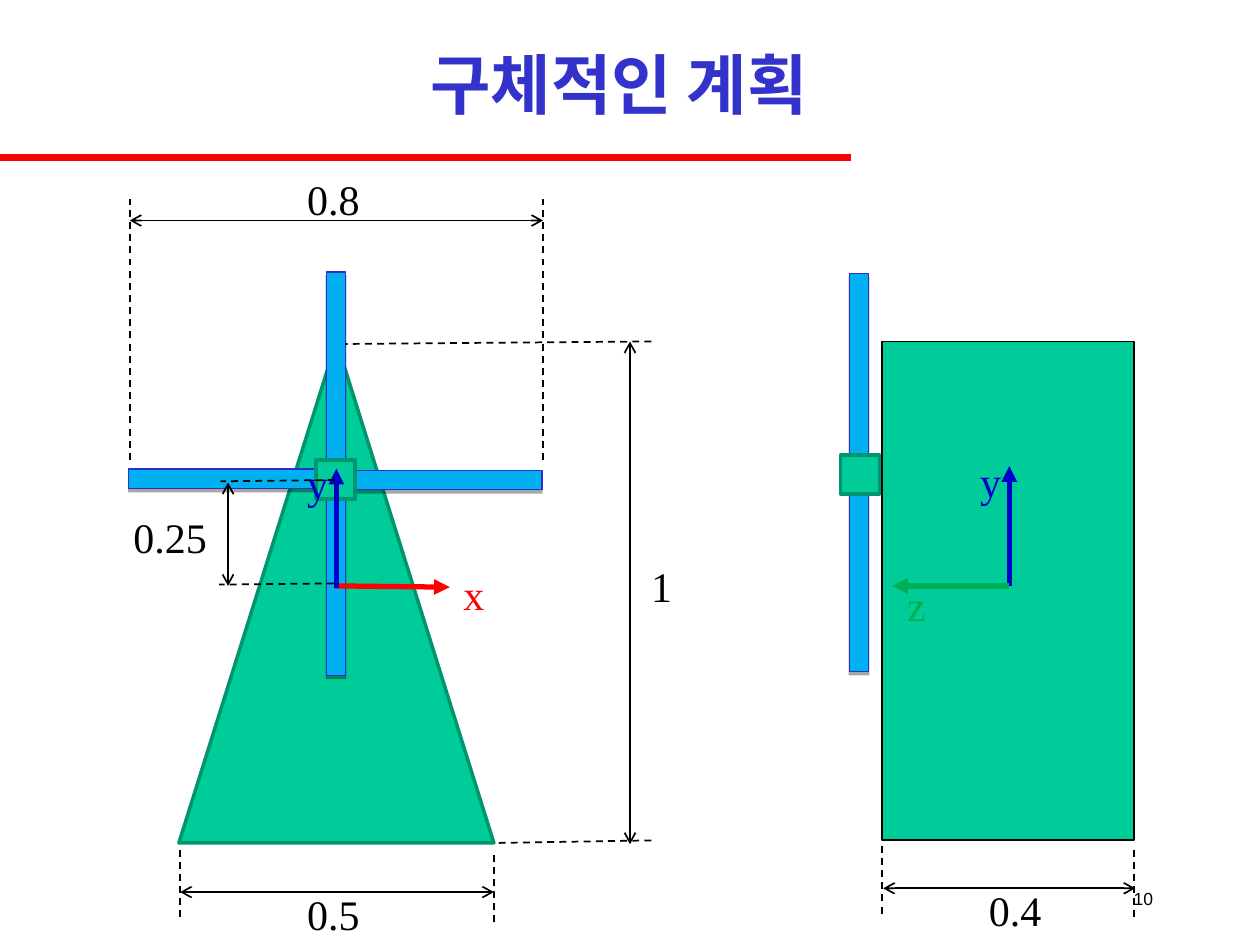
from typing import NamedTuple

from lxml.etree import SubElement
from pptx import Presentation
from pptx.dml.color import RGBColor
from pptx.enum.dml import MSO_LINE
from pptx.enum.shapes import MSO_CONNECTOR, MSO_SHAPE
from pptx.enum.text import MSO_ANCHOR, MSO_AUTO_SIZE, PP_ALIGN
from pptx.oxml.ns import qn
from pptx.util import Emu, Inches, Pt

# The slide is a grid of 100 columns by 75 rows.
COLUMNS, ROWS = 100, 75
CELL = Inches(0.1)

BLACK, RED, BLUE, AXIS_GREEN = "000000", "FF0000", "0000CC", "00B050"
BODY, BODY_EDGE = "00CC99", "00956F"
BLADE, BLADE_EDGE = "00B0F0", "2E2ECB"
BLADE_WIDTH, BLADE_LENGTH, HUB_SIZE = 1.55, 15.6, 3.1


class Block(NamedTuple):
    left: float
    top: float
    width: float
    height: float
    fill: str = BODY
    edge: str = BODY_EDGE
    edge_width: float = 2
    preset: MSO_SHAPE = MSO_SHAPE.RECTANGLE
    rotation: float = 0
    shadow: bool = False


class Line(NamedTuple):
    x1: float
    y1: float
    x2: float
    y2: float
    color: str = BLACK
    width: float = 1
    dashed: bool = False
    head: str = ""
    tail: str = ""


class Label(NamedTuple):
    text: str
    left: float
    top: float
    width: float
    height: float = 5
    color: str = BLACK


def blade(left: float, top: float, rotation: float = 0) -> Block:
    return Block(left, top, BLADE_WIDTH, BLADE_LENGTH, BLADE, BLADE_EDGE, 0.75,
                 rotation=rotation, shadow=True)


def hub(left: float, top: float) -> Block:
    return Block(left, top, HUB_SIZE, HUB_SIZE)


def dimension(x1: float, y1: float, x2: float, y2: float) -> Line:
    return Line(x1, y1, x2, y2, head="arrow", tail="arrow")


def guide(x1: float, y1: float, x2: float, y2: float) -> Line:
    return Line(x1, y1, x2, y2, dashed=True)


def axis(x1: float, y1: float, x2: float, y2: float, color: str) -> Line:
    return Line(x1, y1, x2, y2, color, 3, tail="triangle")


FRONT_VIEW = [
    Block(14.2, 27.1, 25, 39.8, preset=MSO_SHAPE.ISOSCELES_TRIANGLE),
    blade(25.9, 21.6), blade(25.9, 38),
    blade(17.25, 30.2, 270), blade(34.45, 30.3, 270),
    hub(25.1, 36.5),
    dimension(50, 27.1, 50, 67),
    dimension(14.3, 70.8, 39.2, 70.8),
    Label("0.5", 23.4, 70, 6.3),
    Label("1", 50.7, 44, 3.7),
    dimension(10.3, 17.5, 43.1, 17.5),
    Label("0.8", 23.4, 13.3, 6.3),
    guide(10.3, 36.5, 10.3, 15.8), guide(43.1, 36.5, 43.1, 15.8),
    guide(39.2, 73.2, 39.2, 67.5), guide(14.3, 72.8, 14.3, 67.2),
    guide(51.7, 27.1, 27.4, 27.3), guide(51.7, 66.7, 39.6, 66.9),
    axis(26.6, 46.5, 35.7, 46.6, RED), axis(26.7, 46.7, 26.7, 37.2, BLUE),
    Label("x", 35.8, 44.6, 3.7, color=RED),
    Label("y", 23.4, 35.8, 3.7, color=BLUE),
    dimension(18.1, 46.5, 18.1, 38.3),
    guide(26.6, 38.1, 17.5, 38.2), guide(26.5, 46.3, 17.4, 46.4),
    Label("0.25", 9.6, 40.1, 8),
]
SIDE_VIEW = [
    Block(70, 27.1, 20, 39.6, edge=BLACK, edge_width=1),
    blade(67.4, 21.7), blade(67.4, 37.7),
    hub(66.7, 36.1),
    dimension(70.1, 70.5, 90.1, 70.5),
    Label("0.4", 77.5, 69.7, 6.3),
    guide(90, 72.8, 90, 67.2), guide(70, 72.5, 70, 66.9),
    axis(80.1, 46.5, 80.1, 37, BLUE),
    Label("y", 76.8, 35.7, 3.7, color=BLUE),
    axis(80.1, 46.5, 70.8, 46.5, AXIS_GREEN),
    Label("z", 71, 45.5, 3.5, color=AXIS_GREEN),
]


def rgb(color: str) -> RGBColor:
    return RGBColor.from_string(color)


def cells(*counts: float) -> list[Emu]:
    return [Emu(round(count * CELL)) for count in counts]


def apply(target, formats: dict) -> None:
    for name, value in formats.items():
        setattr(target, name, value)


def add_block(slide, block: Block) -> None:
    shape = slide.shapes.add_shape(block.preset, *cells(*block[:4]))
    shape.rotation = block.rotation
    shape.fill.solid()
    shape.fill.fore_color.rgb = rgb(block.fill)
    shape.line.color.rgb = rgb(block.edge)
    shape.line.width = Pt(block.edge_width)
    shape.shadow.inherit = False
    if block.shadow:
        effects = shape.element.spPr.find(qn("a:effectLst"))
        outer = SubElement(effects, qn("a:outerShdw"), blurRad="0", dist=str(Pt(1.8)),
                           dir="5400000", rotWithShape="0")
        shade = SubElement(outer, qn("a:srgbClr"), val=BLACK)
        SubElement(shade, qn("a:alpha"), val="35000")


def add_line(slide, line: Line) -> None:
    connector = slide.shapes.add_connector(MSO_CONNECTOR.STRAIGHT, *cells(*line[:4]))
    connector.line.color.rgb = rgb(line.color)
    connector.line.width = Pt(line.width)
    if line.dashed:
        connector.line.dash_style = MSO_LINE.DASH
    properties = connector.element.spPr
    for end, kind in (("a:headEnd", line.head), ("a:tailEnd", line.tail)):
        if kind:
            SubElement(properties.find(qn("a:ln")), qn(end), type=kind)
    SubElement(properties, qn("a:effectLst"))


def add_label(slide, label: Label, size: float = 24, font: str = "Times New Roman",
              bold: bool = False, align: PP_ALIGN = PP_ALIGN.LEFT, **frame_formats) -> None:
    frame = slide.shapes.add_textbox(*cells(*label[1:5])).text_frame
    apply(frame, {"word_wrap": False, "auto_size": MSO_AUTO_SIZE.NONE, **frame_formats})
    paragraph = frame.paragraphs[0]
    paragraph.alignment = align
    run = paragraph.add_run()
    run.text = label.text
    apply(run.font, {"name": font, "size": Pt(size), "bold": bold})
    run.font.color.rgb = rgb(label.color)


def main() -> None:
    presentation = Presentation()
    apply(presentation, {"slide_width": COLUMNS * CELL, "slide_height": ROWS * CELL})
    slide = presentation.slides.add_slide(presentation.slide_layouts[6])

    centered = {"font": "Arial", "vertical_anchor": MSO_ANCHOR.MIDDLE}
    add_line(slide, Line(0, 12.5, 67.5, 12.5, RED, 4))
    add_label(slide, Label("구체적인 계획", 0, 0.8, 98.3, 11.7, "3333CC"), size=37.5,
              bold=True, align=PP_ALIGN.CENTER, word_wrap=True, **centered)
    add_label(slide, Label("10", 88.3, 69.2, 4.2, 4.2), size=10,
              align=PP_ALIGN.RIGHT, **centered)

    draw = {Block: add_block, Line: add_line, Label: add_label}
    for item in FRONT_VIEW + SIDE_VIEW:
        draw[type(item)](slide, item)
    presentation.save("out.pptx")


if __name__ == "__main__":
    main()
